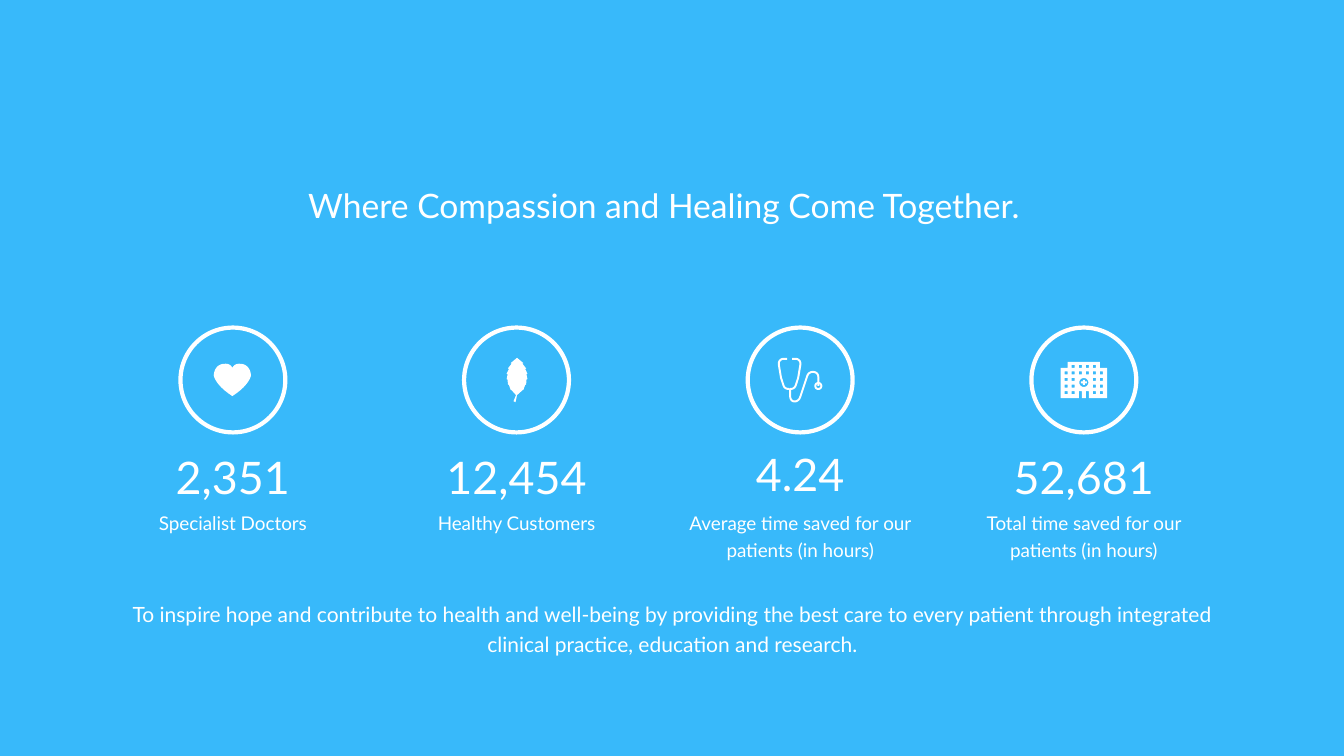
from math import cos, pi, sin

from pptx import Presentation
from pptx.dml.color import RGBColor
from pptx.enum import shapes, text
from pptx.util import Inches, Pt

# ---- Content ----
COLORS = {"sky": "38B9FA", "white": "FFFFFF"}
FONT = "Lato"
HEADLINE = "Where Compassion and Healing Come Together."
MISSION = ("To inspire hope and contribute to health and well-being by providing the best care "
           "to every patient through integrated clinical practice, education and research.")
# number, caption, icon, icon offset inside the ring, top of the number
STATS = [
    ("2,351", "Specialist Doctors", "heart", (0.33, 0.35), 4.36),
    ("12,454", "Healthy Customers", "leaf", (0.42, 0.3), 4.36),
    ("4.24", "Average time saved for our patients (in hours)", "stethoscope", (0.3, 0.3), 4.33),
    ("52,681", "Total time saved for our patients (in hours)", "hospital", (0.29, 0.34), 4.36),
]

# ---- Layout ----
FIRST_CENTER, PITCH = 2.31, 8.44 / 3
RING_TOP, RING_SIZE = 3.25, 1.04
CAPTION_WIDTH, NUMBER_WIDTH = 2.52, 2.13
CURVE_STEPS = 10


# ---- Icon outlines, in hundredths of an inch ----
def flatten(start, *segments):
    """Turn lines (x, y) and curves (x1, y1, x2, y2, x, y) into points."""
    points = [start]
    for segment in segments:
        if len(segment) == 2:
            points.append(segment)
            continue
        x0, y0 = points[-1]
        x1, y1, x2, y2, x3, y3 = segment
        for step in range(1, CURVE_STEPS + 1):
            t = step / CURVE_STEPS
            a, b, c, d = (1 - t) ** 3, 3 * t * (1 - t) ** 2, 3 * t * t * (1 - t), t ** 3
            points.append((a * x0 + b * x1 + c * x2 + d * x3,
                           a * y0 + b * y1 + c * y2 + d * y3))
    return points


def mirror(points, width):
    return [(width - x, y) for x, y in reversed(points)]


def circle(x, y, radius):
    angles = [2 * pi * step / 24 for step in range(25)]
    return [(x + radius * cos(angle), y + radius * sin(angle)) for angle in angles]


def heart():
    half = flatten((18.5, 5), (18, 4, 16, 0, 10, 1), (7, 1, 1, 3, 0, 12), (0, 14, 3, 23, 18.5, 33))
    return [half + mirror(half, 37)]


def leaf():
    teeth, length, middle = 7, 37, 10.5
    half = [(middle, 0)]
    for tooth in range(1, teeth):
        t = tooth / teeth
        reach = 10.5 * sin(pi * t) ** 0.6
        half += [(middle - reach, length * t), (middle - reach + 1, length * t + 0.5)]
    stem = [(9.5, length), (7, 43), (9, 44), (10.5, length)]
    return [half + stem + mirror(half, 2 * middle)]


def stethoscope():
    ear = flatten((9, 1), (6, 1), (2, 1, 0, 4, 1, 8), (3, 20), (5, 26), (6, 30, 8, 31, 11.5, 31))
    tube = flatten((12, 31), (12, 38), (12, 45, 20, 45, 22, 39), (29, 18),
                   (31, 12, 40, 13, 40, 19), (40, 28))
    return [ear, mirror(ear, 23), tube, circle(40, 28, 3)]


def hospital():
    facade = [(7, 0), (7, 6), (0, 6), (0, 36), (18, 36), (18, 29), (21, 29), (21, 36)]
    cross = [(22, 18), (22, 19.5), (20, 19.5), (20, 21.5), (22, 21.5), (22, 23)]
    outlines = [half + mirror(half, 46) for half in (facade, cross)]
    outlines.append(circle(23, 20.5, 4.5))
    for row in range(5):
        for column in range(6):
            x, y = 4 + 7 * column, 3 + 6.5 * row
            over_roof = row == 0 and column in (0, 5)
            at_entrance = row > 1 and column in (2, 3)
            if not (over_roof or at_entrance):
                outlines.append([(x, y), (x + 3, y), (x + 3, y + 3), (x, y + 3)])
    return outlines


# icon: outlines, fill and line of the shape, whether outlines are closed
ICONS = {
    "heart": (heart(), {"fill": "white"}, True),
    "leaf": (leaf(), {"fill": "white"}, True),
    "stethoscope": (stethoscope(), {"line": "white", "weight": 1.4}, False),
    "hospital": (hospital(), {"fill": "white"}, True),
}

# ---- Drawing ----
prs = Presentation()
prs.slide_width, prs.slide_height = Inches(13.33), Inches(7.5)
slide = prs.slides.add_slide(prs.slide_layouts[6])


def color(name):
    return RGBColor.from_string(COLORS[name])


def paint(shape, fill=None, line=None, weight=None):
    shape.shadow.inherit = False
    for part, name in ((shape.fill, fill), (shape.line.fill, line)):
        if name:
            part.solid()
            part.fore_color.rgb = color(name)
        else:
            part.background()
    if weight:
        shape.line.width = Pt(weight)


def add_preset(kind, box, **look):
    paint(slide.shapes.add_shape(kind, *map(Inches, box)), **look)


def add_words(words, box, size, spacing=1.2, anchor=text.MSO_ANCHOR.TOP, side=0.03):
    frame = slide.shapes.add_textbox(*map(Inches, box)).text_frame
    frame_format = {
        "word_wrap": True, "vertical_anchor": anchor,
        "margin_left": Inches(side), "margin_right": Inches(side),
        "margin_top": Inches(0.03), "margin_bottom": Inches(0.03),
    }
    paragraph = frame.paragraphs[0]
    run = paragraph.add_run()
    run.text = words
    run.font.color.rgb = color("white")
    for target, values in (
        (frame, frame_format),
        (paragraph, {"alignment": text.PP_ALIGN.CENTER, "line_spacing": spacing}),
        (run.font, {"name": FONT, "size": Pt(size)}),
    ):
        for key, value in values.items():
            setattr(target, key, value)


def add_icon(name, left, top):
    outlines, look, closed = ICONS[name]
    placed = [[(Inches(left + x / 100), Inches(top + y / 100)) for x, y in outline]
              for outline in outlines]
    builder = slide.shapes.build_freeform(*placed[0][0], scale=1.0)
    for index, outline in enumerate(placed):
        if index:
            builder.move_to(*outline[0])
        builder.add_line_segments(outline[1:], close=closed)
    paint(builder.convert_to_shape(), **look)


# Backdrop and its bottom strip
for top, height in ((0, 7.4), (7.4, 0.1)):
    add_preset(shapes.MSO_SHAPE.RECTANGLE, (0, top, 13.33, height), fill="sky")

# Headline and mission
add_words(HEADLINE, (2.08, 1.6, 9.01, 0.54), 24, spacing=1.5, side=0.07)
add_words(MISSION, (1.23, 5.89, 10.88, 0.8), 15)

# Statistics
for i, (number, caption, icon, (dx, dy), number_top) in enumerate(STATS):
    center = FIRST_CENTER + i * PITCH
    ring_left = center - RING_SIZE / 2
    add_preset(shapes.MSO_SHAPE.OVAL, (ring_left, RING_TOP, RING_SIZE, RING_SIZE),
               line="white", weight=3)
    add_icon(icon, ring_left + dx, RING_TOP + dy)
    add_words(number, (center - NUMBER_WIDTH / 2, number_top, NUMBER_WIDTH, 0.64), 32,
              anchor=text.MSO_ANCHOR.MIDDLE)
    add_words(caption, (center - CAPTION_WIDTH / 2, 5, CAPTION_WIDTH, 0.33), 13.5)

prs.save("out.pptx")
